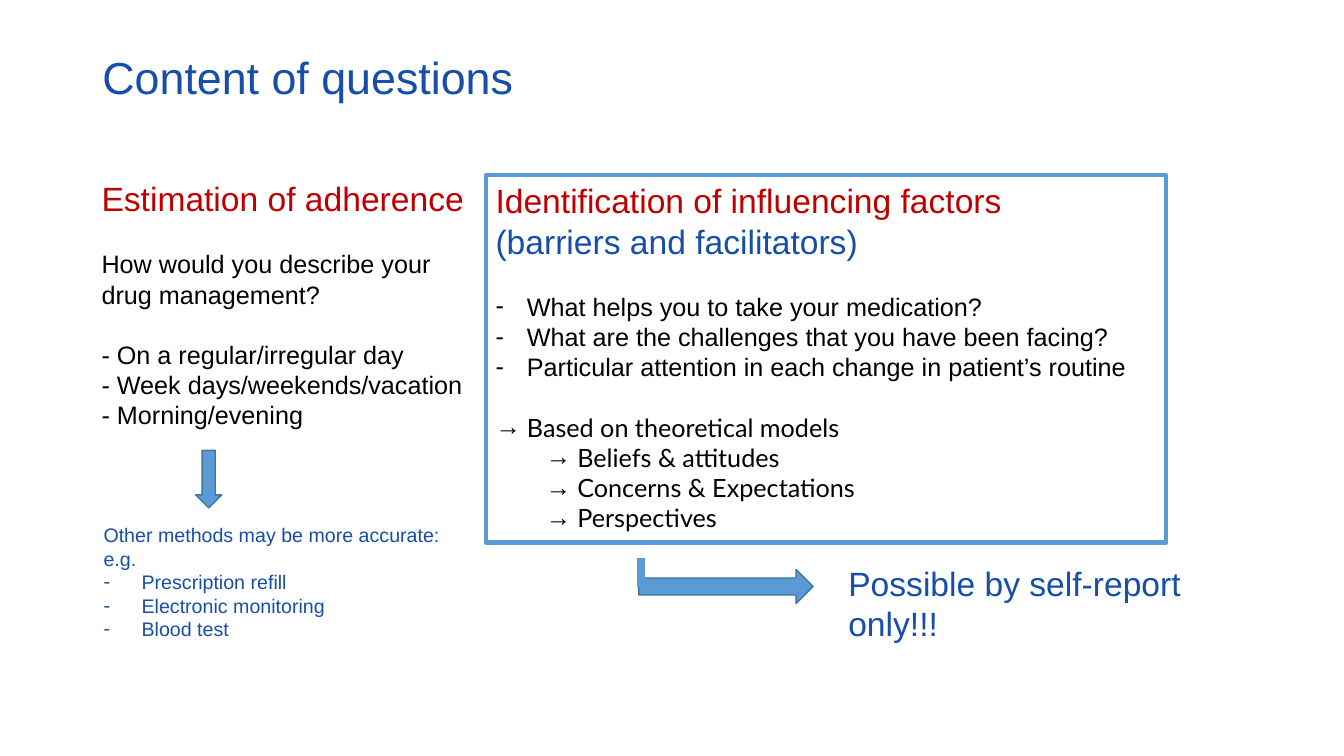
from lxml import etree
from pptx import Presentation
from pptx import util as u
from pptx.dml import color
from pptx.enum import shapes, text
from pptx.oxml import ns

NAVY, RED, BLACK = "164EAA", "C00000", "000000"
BLUE, EDGE = "5B9BD5", "43739E"
GAP = {"space_before": u.Pt(21.5)}


def rgb(value):
    return color.RGBColor.from_string(value)


def apply(target, values):
    for name, value in values.items():
        setattr(target, name, value)


def lengths(*values):
    return [u.Cm(value) for value in values]


def line(content, size, hue, font="Arial", bullet=None, indent=0.79, margin=None, **layout):
    return {
        "content": content,
        "font": {"size": u.Pt(size), "name": font},
        "hue": hue,
        "bullet": bullet,
        "indent": indent,
        "margin": indent if margin is None else margin,
        "layout": layout,
    }


def set_bullet(paragraph, mark, margin, indent):
    properties = paragraph._p.get_or_add_pPr()
    properties.set("marL", str(u.Cm(margin)))
    properties.set("indent", str(-u.Cm(indent)))
    etree.SubElement(properties, ns.qn("a:buFont"), typeface="Arial")
    etree.SubElement(properties, ns.qn("a:buChar"), char=mark)


def write(frame, lines, **options):
    apply(frame, {
        "word_wrap": True,
        "vertical_anchor": text.MSO_ANCHOR.TOP,
        "auto_size": text.MSO_AUTO_SIZE.SHAPE_TO_FIT_TEXT,
        **options,
    })
    for index, entry in enumerate(lines):
        paragraph = frame.add_paragraph() if index else frame.paragraphs[0]
        apply(paragraph, {"alignment": text.PP_ALIGN.LEFT, **entry["layout"]})
        if entry["bullet"]:
            set_bullet(paragraph, entry["bullet"], entry["margin"], entry["indent"])
        run = paragraph.add_run()
        run.text = entry["content"]
        apply(run.font, entry["font"])
        run.font.color.rgb = rgb(entry["hue"])


def add_text(slide, place, lines, **options):
    write(slide.shapes.add_textbox(*lengths(*place)).text_frame, lines, **options)


def add_block(slide, kind, place, edge, width, fill=None):
    block = slide.shapes.add_shape(kind, *lengths(*place))
    block.shadow.inherit = False
    if fill:
        block.fill.solid()
        block.fill.fore_color.rgb = rgb(fill)
    else:
        block.fill.background()
    block.line.color.rgb = rgb(edge)
    block.line.width = u.Pt(width)
    return block


def add_stem(slide, ends, hue, width):
    stem = slide.shapes.add_connector(shapes.MSO_CONNECTOR.STRAIGHT, *lengths(*ends))
    stem.line.color.rgb = rgb(hue)
    stem.line.width = u.Pt(width)
    etree.SubElement(stem._element.spPr, ns.qn("a:effectLst"))


def main():
    deck = Presentation()
    apply(deck, {"slide_width": u.Cm(33.87), "slide_height": u.Cm(19.05)})
    slide = deck.slides.add_slide(deck.slide_layouts[6])
    kinds = shapes.MSO_SHAPE

    add_text(slide, (2.33, 1.02, 29.21, 2.01),
             [line("Content of questions", 32, NAVY, line_spacing=0.9)],
             vertical_anchor=text.MSO_ANCHOR.MIDDLE, auto_size=text.MSO_AUTO_SIZE.NONE)

    add_text(slide, (2.31, 4.37, 10.19, 7.7), [
        line("Estimation of adherence", 24, RED),
        line("How would you describe your drug management?", 18, BLACK, **GAP),
        line("- On a regular/irregular day", 18, BLACK, **GAP),
        line("- Week days/weekends/vacation", 18, BLACK),
        line("- Morning/evening", 18, BLACK),
    ])

    factors = add_block(slide, kinds.RECTANGLE, (12.24, 4.42, 17.15, 9.25), BLUE, 3)
    models = ["Beliefs & attitudes", "Concerns & Expectations", "Perspectives"]
    write(factors.text_frame, [
        line("Identification of influencing factors", 24, RED),
        line("(barriers and facilitators)", 24, NAVY),
        line("What helps you to take your medication?", 18, BLACK, bullet="-", **GAP),
        line("What are the challenges that you have been facing?", 18, BLACK, bullet="-"),
        line("Particular attention in each change in patient’s routine", 18, BLACK, bullet="-"),
        line("Based on theoretical models", 18, BLACK, "Lato", "→", **GAP),
        *[line(model, 18, BLACK, "Lato", "→", margin=2.06, level=1) for model in models],
    ])

    add_block(slide, kinds.RIGHT_ARROW, (16.1, 14.35, 4.39, 0.86), EDGE, 1, BLUE)
    add_text(slide, (21.13, 14.05, 9.07, 2.31),
             [line("Possible by self-report only!!!", 24, NAVY)])

    methods = ["Prescription refill", "Electronic monitoring", "Blood test"]
    add_text(slide, (2.36, 13.06, 9.78, 4.27), [
        line("Other methods may be more accurate: e.g.", 14, NAVY),
        *[line(method, 14, NAVY, bullet="-", indent=0.96) for method in methods],
    ])
    add_block(slide, kinds.DOWN_ARROW, (4.93, 11.35, 0.66, 1.45), EDGE, 1, BLUE)
    add_stem(slide, (16.15, 14.05, 16.15, 14.78), BLUE, 6)

    deck.save("out.pptx")


if __name__ == "__main__":
    main()
